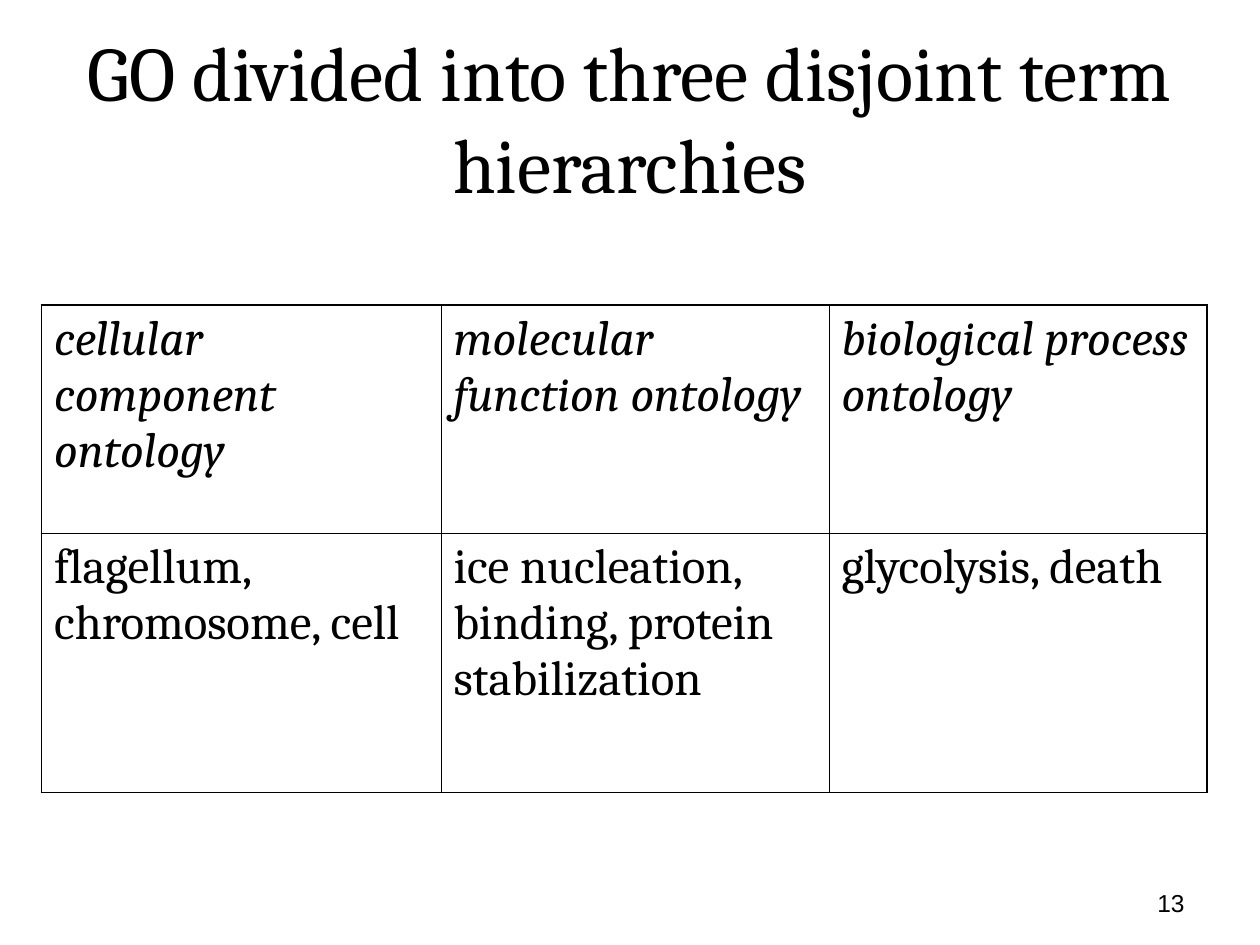
"""Build a slide with a table of the three GO term hierarchies."""

from lxml.etree import SubElement
from pptx import Presentation
from pptx.dml.color import RGBColor
from pptx.enum.text import MSO_ANCHOR, PP_ALIGN
from pptx.oxml.ns import qn
from pptx.util import Inches, Pt

TITLE = "GO divided into three disjoint term hierarchies"
ROWS = [
    ["cellular component ontology", "molecular function ontology", "biological process ontology"],
    ["flagellum, chromosome, cell", "ice nucleation, binding, protein stabilization", "glycolysis, death"],
]
PAGE_NUMBER = "13"
COLORS = {"text": "000000", "border": "000000", "background": "FFFFFF"}
COLUMN_WIDTHS = [3.17, 3.08, 3]
ROW_HEIGHTS = [1.81, 2.06]
OUTER_LINE, INNER_LINE = 1.08, 0.45


def write_text(text_frame, text, size, font="Cambria", italic=False, alignment=PP_ALIGN.LEFT):
    text_frame.word_wrap = True
    paragraph = text_frame.paragraphs[0]
    paragraph.alignment = alignment
    paragraph.space_before = Pt(0)
    run = paragraph.add_run()
    run.text = text
    run.font.name = font
    run.font.size = Pt(size)
    run.font.italic = italic
    run.font.color.rgb = RGBColor.from_string(COLORS["text"])


def add_borders(cell, outer_sides):
    properties = cell._tc.get_or_add_tcPr()
    for side, is_outer in outer_sides.items():
        width = Pt(OUTER_LINE if is_outer else INNER_LINE)
        line = SubElement(properties, qn(f"a:ln{side}"), w=str(int(width)))
        fill = SubElement(line, qn("a:solidFill"))
        SubElement(fill, qn("a:srgbClr"), val=COLORS["border"])


def add_title(slide):
    title = slide.shapes.title
    title.left, title.top, title.width, title.height = map(Inches, (0.5, 0.3, 9, 1.25))
    title.text_frame.vertical_anchor = MSO_ANCHOR.MIDDLE
    write_text(title.text_frame, TITLE, 44, alignment=PP_ALIGN.CENTER)


def add_hierarchy_table(slide):
    last_row, last_column = len(ROWS) - 1, len(COLUMN_WIDTHS) - 1
    table = slide.shapes.add_table(
        len(ROWS), len(COLUMN_WIDTHS), Inches(0.33), Inches(2.42),
        Inches(sum(COLUMN_WIDTHS)), Inches(sum(ROW_HEIGHTS)),
    ).table
    table.first_row = table.horz_banding = False
    for column, width in zip(table.columns, COLUMN_WIDTHS):
        column.width = Inches(width)
    for row, height in zip(table.rows, ROW_HEIGHTS):
        row.height = Inches(height)
    for row_index, texts in enumerate(ROWS):
        for column_index, text in enumerate(texts):
            cell = table.cell(row_index, column_index)
            add_borders(cell, {
                "L": column_index == 0,
                "R": column_index == last_column,
                "T": row_index == 0,
                "B": row_index == last_row,
            })
            cell.fill.background()
            write_text(cell.text_frame, text, 28, italic=row_index == 0)


def add_page_number(slide):
    box = slide.shapes.add_textbox(*map(Inches, (7.17, 7, 2.33, 0.35)))
    write_text(box.text_frame, PAGE_NUMBER, 14, font="Arial", alignment=PP_ALIGN.RIGHT)


def main():
    presentation = Presentation()
    presentation.slide_width, presentation.slide_height = Inches(10), Inches(7.5)
    slide = presentation.slides.add_slide(presentation.slide_layouts.get_by_name("Title Only"))
    slide.background.fill.solid()
    slide.background.fill.fore_color.rgb = RGBColor.from_string(COLORS["background"])
    add_title(slide)
    add_hierarchy_table(slide)
    add_page_number(slide)
    presentation.save("out.pptx")


if __name__ == "__main__":
    main()
